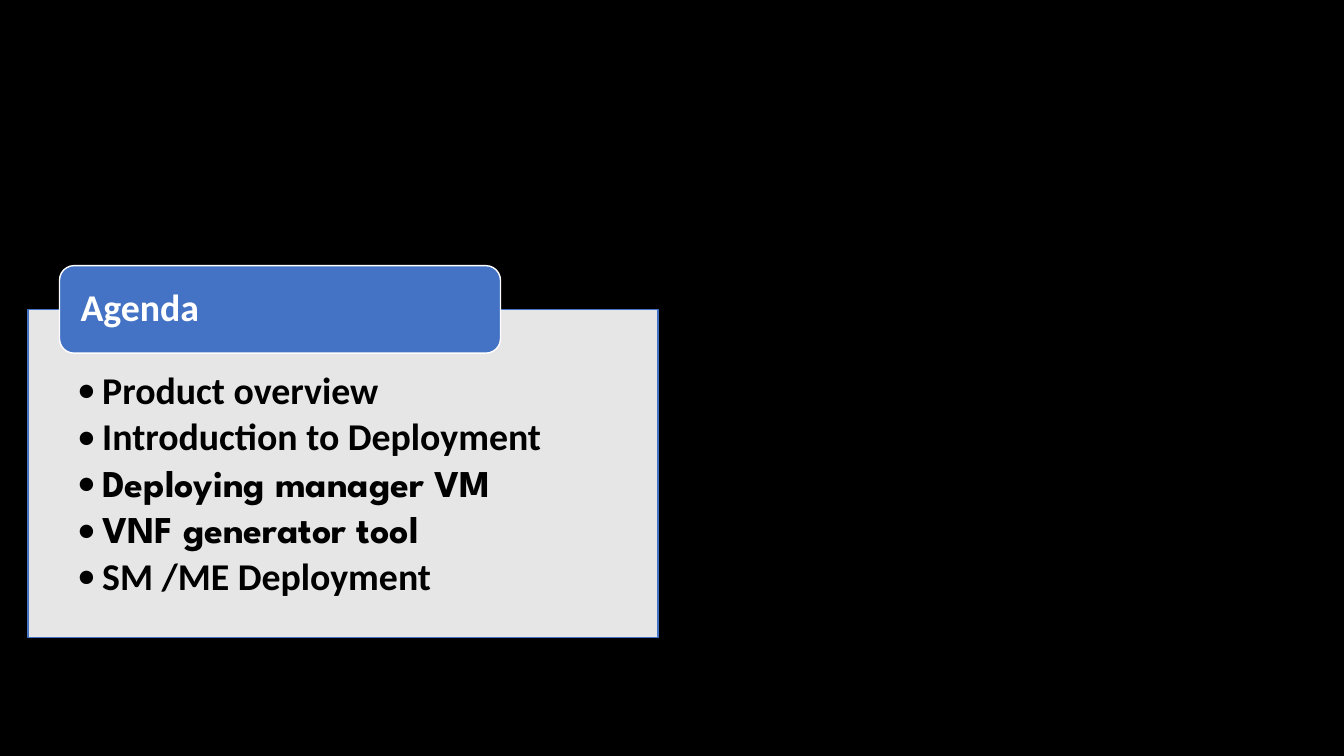
from dataclasses import dataclass

from lxml import etree
from pptx import Presentation
from pptx.dml.color import RGBColor
from pptx.enum.shapes import MSO_SHAPE
from pptx.enum.text import MSO_ANCHOR, PP_ALIGN
from pptx.oxml.ns import qn
from pptx.util import Pt

RECTANGLE = MSO_SHAPE.RECTANGLE
ROUNDED = MSO_SHAPE.ROUNDED_RECTANGLE
TOP, MIDDLE = MSO_ANCHOR.TOP, MSO_ANCHOR.MIDDLE
LEFT = PP_ALIGN.LEFT

COLORS = {"black": "000000", "white": "FFFFFF", "blue": "4472C4"}
BODY_FONT, ACCENT_FONT = "Calibri", "League Spartan"
TEXT_SIZE = 27
BULLET_INDENT = 18


@dataclass(frozen=True)
class Line:
    text: str
    font: str = BODY_FONT


@dataclass(frozen=True)
class Panel:
    shape: MSO_SHAPE
    frame: tuple[float, float, float, float]
    insets: tuple[float, float, float, float]
    anchor: MSO_ANCHOR
    fill: str
    outline: str
    ink: str
    lines: tuple[Line, ...]
    opacity: int = 100
    bulleted: bool = False


PANELS = (
    Panel(
        RECTANGLE, (20, 221, 450, 234.5), (35, 44.5, 35, 15),
        TOP, "white", "blue", "black",
        (
            Line("Product overview"),
            Line("Introduction to Deployment"),
            Line("Deploying manager VM", ACCENT_FONT),
            Line("VNF generator tool", ACCENT_FONT),
            Line("SM /ME Deployment"),
        ),
        opacity=90, bulleted=True,
    ),
    Panel(
        ROUNDED, (42.5, 189.75, 315, 62.5), (12, 0, 12, 0),
        MIDDLE, "blue", "white", "white", (Line("Agenda"),),
    ),
)


def color(name: str) -> RGBColor:
    return RGBColor.from_string(COLORS[name])


def add_bullet(para) -> None:
    para.level = 1
    properties = para._p.get_or_add_pPr()
    properties.set("marL", str(Pt(BULLET_INDENT)))
    properties.set("indent", str(-Pt(BULLET_INDENT)))
    etree.SubElement(properties, qn("a:buFont")).set("typeface", BODY_FONT)
    etree.SubElement(properties, qn("a:buChar")).set("char", "•")


def draw_panel(page, panel: Panel) -> None:
    box = page.shapes.add_shape(panel.shape, *map(Pt, panel.frame))
    box.shadow.inherit = False
    box.fill.solid()
    box.fill.fore_color.rgb = color(panel.fill)
    if panel.opacity < 100:
        fill_color = box._element.spPr.find(qn("a:solidFill"))[0]
        etree.SubElement(fill_color, qn("a:alpha")).set("val", str(panel.opacity * 1000))
    box.line.color.rgb = color(panel.outline)
    box.line.width = Pt(1)

    frame = box.text_frame
    frame.word_wrap = True
    frame.vertical_anchor = panel.anchor
    frame.margin_left, frame.margin_top, frame.margin_right, frame.margin_bottom = map(Pt, panel.insets)
    frame.text = "\n".join(line.text for line in panel.lines)
    for para, line in zip(frame.paragraphs, panel.lines):
        if panel.bulleted:
            add_bullet(para)
            para.space_after = Pt(4)
        para.alignment = LEFT
        para.line_spacing = 0.9
        for span in para.runs:
            span.font.name = line.font
            span.font.size = Pt(TEXT_SIZE)
            span.font.bold = True
            span.font.color.rgb = color(panel.ink)


def main() -> None:
    deck = Presentation()
    deck.slide_width, deck.slide_height = Pt(960), Pt(540)
    page = deck.slides.add_slide(deck.slide_layouts[6])
    page.background.fill.solid()
    page.background.fill.fore_color.rgb = color("black")
    for panel in PANELS:
        draw_panel(page, panel)
    deck.save("out.pptx")


if __name__ == "__main__":
    main()
